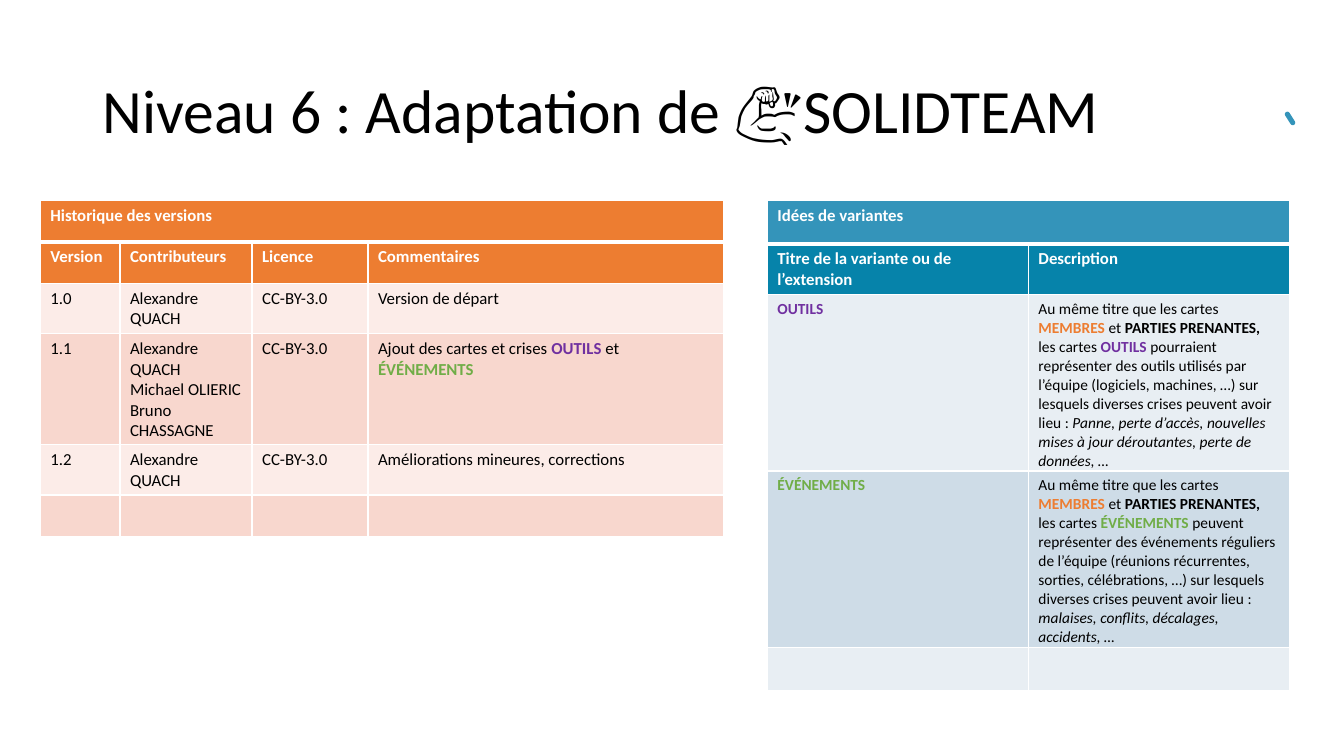
from dataclasses import dataclass

from lxml.etree import SubElement
from pptx import Presentation
from pptx.dml.color import RGBColor
from pptx.enum.shapes import MSO_SHAPE as Shape
from pptx.enum.text import MSO_ANCHOR as Anchor
from pptx.oxml.ns import qn
from pptx.util import Inches, Pt


@dataclass(frozen=True)
class Theme:
    font: str = "Calibri"
    title_size: int = 44
    table_size: int = 12
    detail_size: int = 11
    black: str = "000000"
    white: str = "FFFFFF"
    blue: str = "3494BA"
    dark_blue: str = "0683AA"
    orange: str = "ED7D31"
    purple: str = "7030A0"
    green: str = "70AD47"
    blue_bands: tuple = ("E8EEF3", "CEDCE7")
    orange_bands: tuple = ("FCECE8", "F8D7CE")
    thin: int = 1
    thick: int = 3


THEME = Theme()

# Styled pieces of cell text: (text, colour, bold, italic)
TOOLS = ("OUTILS", THEME.purple, True, False)
EVENTS = ("ÉVÉNEMENTS", THEME.green, True, False)
MEMBERS = ("MEMBRES", THEME.orange, True, False)
STAKEHOLDERS = ("PARTIES PRENANTES, ", THEME.black, True, False)


def plain(text):
    return (text, THEME.black, False, False)


def header(text):
    return [[(text, THEME.white, True, False)]]


def lines(*texts):
    return [[plain(text)] for text in texts]


def variant(name, explanation, examples):
    """Give the title and description cells of one variant."""
    description = [
        plain("Au même titre que les cartes "), MEMBERS, plain(" et "), STAKEHOLDERS,
        plain("les cartes "), name, plain(explanation),
        (examples, THEME.black, False, True),
    ]
    return [[[name]], [description]]


HISTORY_HEADERS = ["Version", "Contributeurs", "Licence", "Commentaires"]
HISTORY = [
    [lines("1.0"), lines("Alexandre QUACH"), lines("CC-BY-3.0"), lines("Version de départ")],
    [lines("1.1"), lines("Alexandre QUACH", "Michael OLIERIC", "Bruno CHASSAGNE"),
     lines("CC-BY-3.0"),
     [[plain("Ajout des cartes et crises "), TOOLS, plain(" et "), EVENTS]]],
    [lines("1.2"), lines("Alexandre QUACH"), lines("CC-BY-3.0"),
     lines("Améliorations mineures, corrections")],
    [[[]]] * 4,
]
VARIANT_HEADERS = ["Titre de la variante ou de l’extension", "Description"]
VARIANTS = [
    variant(TOOLS, " pourraient représenter des outils utilisés par l’équipe (logiciels, "
            "machines, …) sur lesquels diverses crises peuvent avoir lieu : ",
            "Panne, perte d’accès, nouvelles mises à jour déroutantes, perte de données, …"),
    variant(EVENTS, " peuvent représenter des événements réguliers de l’équipe (réunions "
            "récurrentes, sorties, célébrations, …) sur lesquels diverses crises peuvent "
            "avoir lieu : ", "malaises, conflits, décalages, accidents, …"),
    [[[]]] * 2,
]


def rgb(colour):
    return RGBColor.from_string(colour)


def style_font(font, size, colour, bold=False, italic=False):
    font.name = THEME.font
    font.size = Pt(size)
    font.color.rgb = rgb(colour)
    font.bold = bold
    font.italic = italic


def set_borders(cell, top, bottom):
    """Draw white cell borders; top and bottom are widths in points."""
    properties = cell._tc.get_or_add_tcPr()
    widths = {"lnL": THEME.thin, "lnR": THEME.thin, "lnT": top, "lnB": bottom}
    for tag, width in widths.items():
        line = SubElement(properties, qn(f"a:{tag}"), w=str(Pt(width)))
        fill = SubElement(line, qn("a:solidFill"))
        SubElement(fill, qn("a:srgbClr"), val=THEME.white)


def fill_cell(cell, paragraphs, fill, size):
    cell.fill.solid()
    cell.fill.fore_color.rgb = rgb(fill)
    for index, pieces in enumerate(paragraphs):
        frame = cell.text_frame
        paragraph = frame.add_paragraph() if index else frame.paragraphs[0]
        style_font(paragraph.font, size, THEME.black)
        for text, *style in pieces:
            run = paragraph.add_run()
            run.text = text
            style_font(run.font, size, *style)


def add_banded_table(slide, left, widths, heights, title, headers, body,
                     head_fills, bands, body_size):
    """Add a table with a merged title row, a header row and a banded body."""
    blanks = [[[]]] * (len(widths) - 1)
    rows = [[header(title), *blanks], [header(text) for text in headers], *body]
    fills = [*head_fills, *(bands[index % 2] for index in range(len(body)))]
    frame = slide.shapes.add_table(len(rows), len(widths), Inches(left), Inches(1.99),
                                   Inches(sum(widths)), Inches(sum(heights)))
    table = frame.table
    table.first_row = table.horz_banding = False
    for column, width in zip(table.columns, widths):
        column.width = Inches(width)
    for index, (row, height) in enumerate(zip(table.rows, heights)):
        row.height = Inches(height)
        size = THEME.table_size if index < 2 else body_size
        for cell, paragraphs in zip(row.cells, rows[index]):
            set_borders(cell, top=THEME.thick if index == 1 else THEME.thin,
                        bottom=THEME.thick if index == 0 else THEME.thin)
            fill_cell(cell, paragraphs, fills[index], size)
    table.cell(0, 0).merge(table.cell(0, len(widths) - 1))


def add_title(slide, text):
    box = slide.shapes.add_textbox(Inches(0.92), Inches(0.4), Inches(11.5), Inches(1.45))
    frame = box.text_frame
    frame.word_wrap = True
    frame.vertical_anchor = Anchor.MIDDLE
    paragraph = frame.paragraphs[0]
    paragraph.text = text
    paragraph.line_spacing = 0.9
    style_font(paragraph.font, THEME.title_size, THEME.black)


def add_accent_dash(slide):
    dash = slide.shapes.add_shape(Shape.ROUNDED_RECTANGLE, Inches(12.72), Inches(1.15),
                                  Inches(0.15), Inches(0.05))
    dash.adjustments[0] = 0.5
    dash.rotation = 57.7
    dash.shadow.inherit = False
    dash.fill.solid()
    dash.fill.fore_color.rgb = rgb(THEME.blue)
    dash.line.fill.background()


def main():
    presentation = Presentation()
    presentation.slide_width = Inches(13.33)
    presentation.slide_height = Inches(7.5)
    slide = presentation.slides.add_slide(presentation.slide_layouts[6])
    add_title(slide, "Niveau 6 : Adaptation de 💪SOLIDTEAM")
    add_accent_dash(slide)
    add_banded_table(slide, 7.61, [2.59, 2.59], [0.43, 0.47, 1.75, 0.43, 0.43],
                     "Idées de variantes", VARIANT_HEADERS, VARIANTS,
                     (THEME.blue, THEME.dark_blue), THEME.blue_bands, THEME.detail_size)
    add_banded_table(slide, 0.4, [0.79, 1.31, 1.15, 3.53], [0.41] * 6,
                     "Historique des versions", HISTORY_HEADERS, HISTORY,
                     (THEME.orange, THEME.orange), THEME.orange_bands, THEME.table_size)
    presentation.save("out.pptx")


if __name__ == "__main__":
    main()
